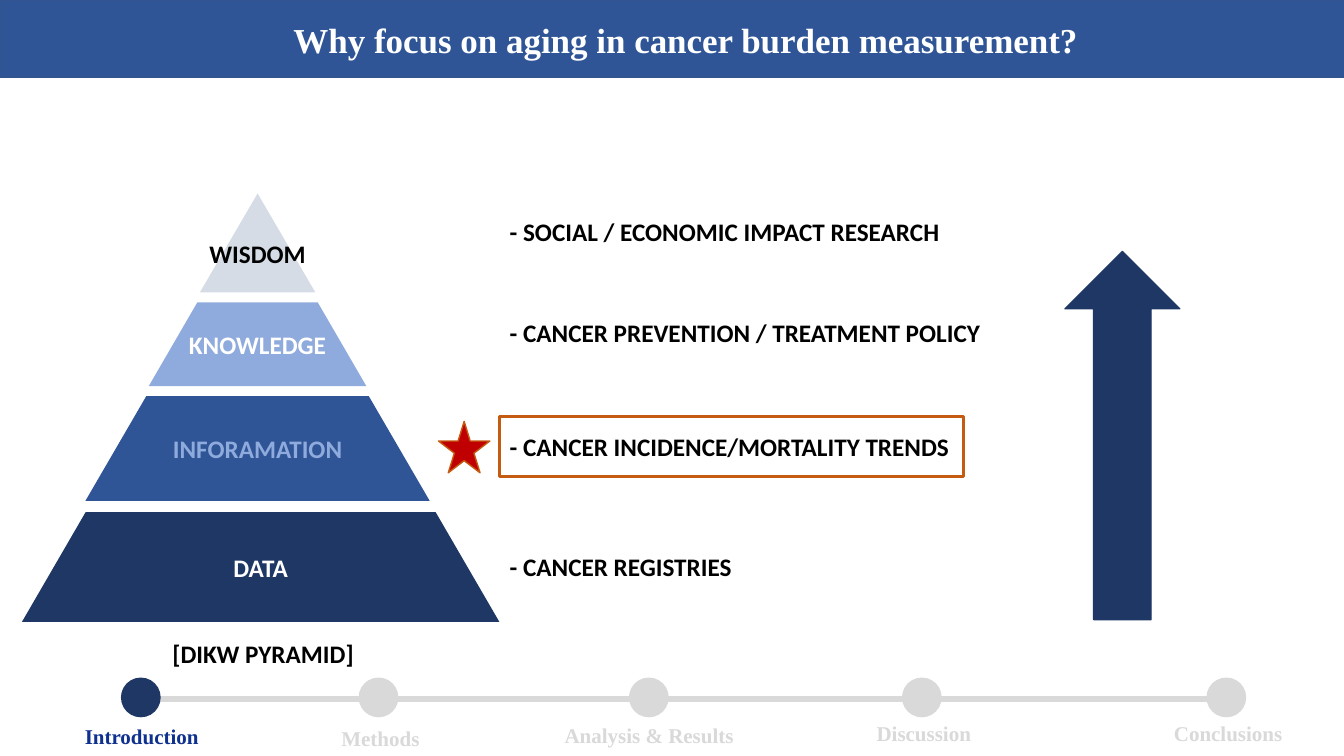
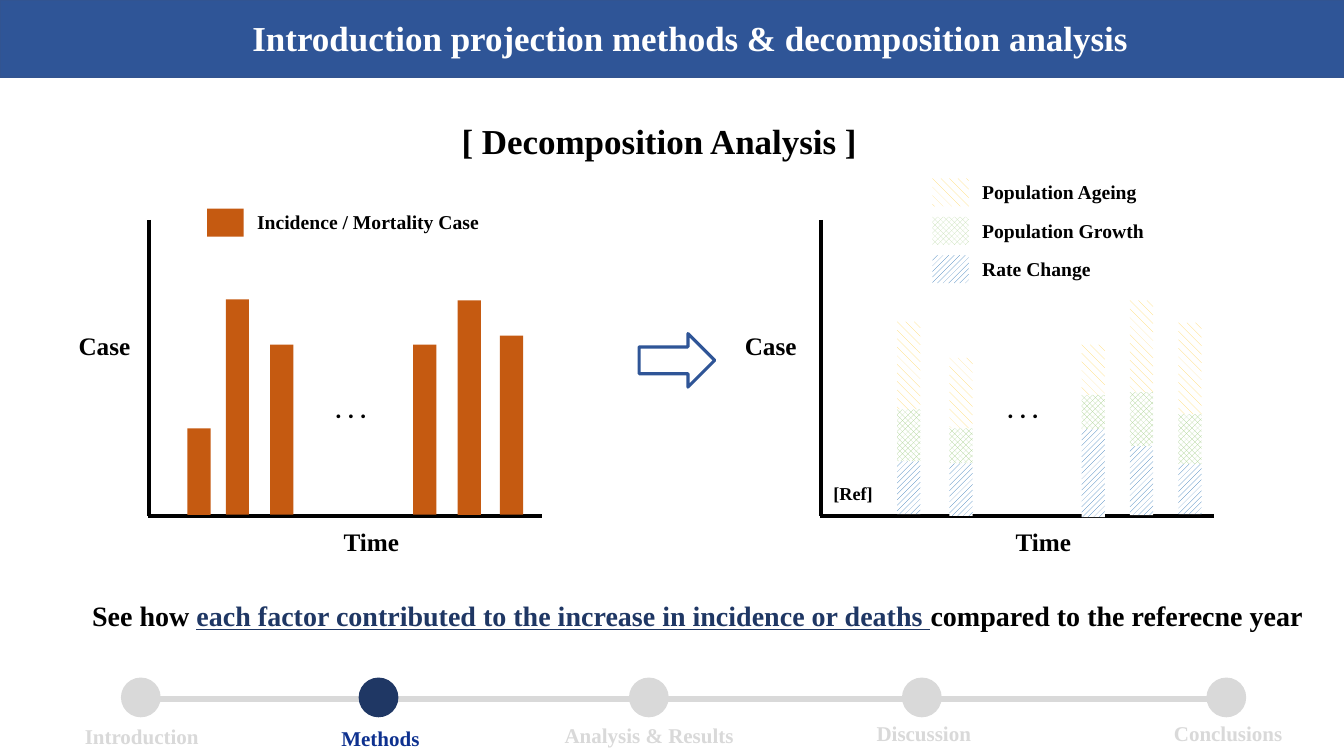
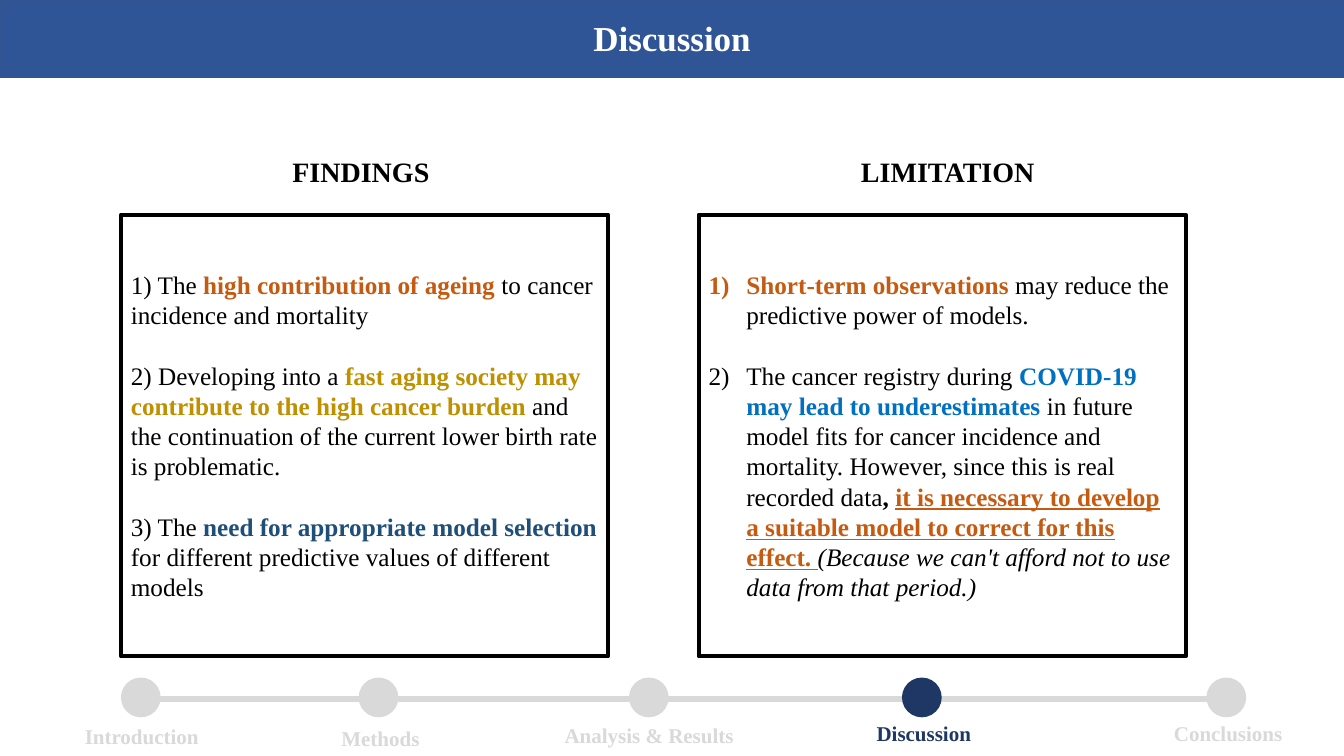
from itertools import pairwise

from lxml.etree import SubElement
from pptx import Presentation
from pptx.dml.color import RGBColor
from pptx.enum.dml import MSO_PATTERN
from pptx.enum.shapes import MSO_CONNECTOR, MSO_SHAPE
from pptx.enum.text import MSO_ANCHOR, PP_ALIGN
from pptx.oxml.ns import qn
from pptx.util import Pt

BLUE = RGBColor(0x2F, 0x55, 0x97)
BAND_EDGE = RGBColor(0x32, 0x54, 0x91)
NAVY = RGBColor(0x1F, 0x37, 0x64)
ACTIVE = RGBColor(0x0E, 0x31, 0x8F)
LIGHT_BLUE = RGBColor(0x8F, 0xAA, 0xDC)
PALE_BLUE = RGBColor(0xD6, 0xDC, 0xE5)
GREY = RGBColor(0xD9, 0xD9, 0xD9)
BLACK = RGBColor(0, 0, 0)
WHITE = RGBColor(0xFF, 0xFF, 0xFF)
ORANGE = RGBColor(0xC5, 0x5A, 0x11)
RED = RGBColor(0xC0, 0, 0)
GOLD = RGBColor(0xBF, 0x90, 0)
DEEP_BLUE = RGBColor(0x1F, 0x4E, 0x79)
BRIGHT_BLUE = RGBColor(0, 0x70, 0xC0)
YELLOW = RGBColor(0xFF, 0xD9, 0x66)
GREEN = RGBColor(0xA9, 0xD1, 0x8E)
PALE_GREEN = RGBColor(0xC5, 0xE0, 0xB4)
STEEL = RGBColor(0x2E, 0x75, 0xB6)

SERIF, SANS = "Times New Roman", "Calibri"

# A fill is a colour, or a pattern with its foreground colour.
AGEING = (MSO_PATTERN.DASHED_DOWNWARD_DIAGONAL, YELLOW)
GROWTH = (MSO_PATTERN.SOLID_DIAMOND, GREEN)
GROWTH_KEY = (MSO_PATTERN.SOLID_DIAMOND, PALE_GREEN)
RATE = (MSO_PATTERN.WIDE_UPWARD_DIAGONAL, STEEL)

# Section, dot centre, label centre, label top
SECTIONS = [
    ("Introduction", 100.6, 101.3, 513.4),
    ("Methods", 270.4, 271.8, 514.8),
    ("Analysis & Results", 463.5, 463.7, 512.4),
    ("Discussion", 658.5, 659.9, 511.2),
    ("Conclusions", 876, 877.3, 511.2),
]


def write(p, text, font=SERIF, size=18, color=BLACK, bold=True, italic=False,
          underline=False):
    r = p.add_run()
    r.text = text
    f = r.font
    f.name, f.size, f.color.rgb = font, Pt(size), color
    f.bold, f.italic, f.underline = bold, italic, underline


class Deck:
    def __init__(self):
        self.prs = Presentation()
        self.prs.slide_width, self.prs.slide_height = Pt(960), Pt(540)
        self.s = None

    def slide(self, title, section, x=480, y=8, label_color=ACTIVE):
        """Start a slide with its title band and progress line."""
        self.s = self.prs.slides.add_slide(self.prs.slide_layouts[6])
        self.shape(0, 0, 960, 55, BLUE, BAND_EDGE)
        self.text(title, x, y, 730, size=25, color=WHITE, centred=True)
        self.line(92, 499.5, 887, 499.5, GREY, 4.5)
        for name, dot_x, label_x, label_y in SECTIONS:
            on = name == section
            self.shape(dot_x - 14.2, 484, 28.4, 28.4, NAVY if on else GREY,
                       kind=MSO_SHAPE.OVAL)
            self.text(name, label_x, label_y, 160, size=15, centred=True,
                      color=label_color if on else GREY)

    def style(self, sp, fill, line, weight):
        sp.shadow.inherit = False
        if fill is None:
            sp.fill.background()
        elif isinstance(fill, RGBColor):
            sp.fill.solid()
            sp.fill.fore_color.rgb = fill
        else:
            sp.fill.patterned()
            sp.fill.pattern, sp.fill.fore_color.rgb = fill
            sp.fill.back_color.rgb = WHITE
        if line is None:
            sp.line.fill.background()
        else:
            sp.line.color.rgb, sp.line.width = line, Pt(weight)

    def shape(self, x, y, w, h, fill=None, line=None, weight=1,
              kind=MSO_SHAPE.RECTANGLE):
        sp = self.s.shapes.add_shape(kind, Pt(x), Pt(y), Pt(w), Pt(h))
        self.style(sp, fill, line, weight)
        return sp

    def line(self, x1, y1, x2, y2, color, weight):
        c = self.s.shapes.add_connector(MSO_CONNECTOR.STRAIGHT,
                                        Pt(x1), Pt(y1), Pt(x2), Pt(y2))
        c.line.color.rgb, c.line.width = color, Pt(weight)
        SubElement(c._element.spPr, qn("a:effectLst"))

    def text(self, runs, x, y, w, size=18, centred=False, **fmt):
        """Write one line; x is its left edge, or its middle if centred."""
        left = x - w / 2 if centred else x
        box = self.s.shapes.add_textbox(Pt(left), Pt(y), Pt(w), Pt(size * 1.2 + 7.2))
        tf = box.text_frame
        tf.word_wrap = True
        p = tf.paragraphs[0]
        p.alignment = PP_ALIGN.CENTER if centred else PP_ALIGN.LEFT
        for text, extra in [(runs, {})] if isinstance(runs, str) else runs:
            write(p, text, size=size, **{**fmt, **extra})

    def tier(self, centre, top, bottom, top_w, bottom_w, fill, text, color):
        """Draw a pyramid tier as a trapezoid."""
        corners = [(Pt(centre + dx / 2), Pt(y)) for dx, y in (
            (-top_w, top), (top_w, top), (bottom_w, bottom), (-bottom_w, bottom))]
        fb = self.s.shapes.build_freeform(*corners[0])
        fb.add_line_segments(corners[1:], close=True)
        sp = fb.convert_to_shape()
        self.style(sp, fill, None, 0)
        if text:
            tf = sp.text_frame
            tf.vertical_anchor = MSO_ANCHOR.MIDDLE
            p = tf.paragraphs[0]
            p.alignment = PP_ALIGN.CENTER
            write(p, text, font=SANS, color=color)

    def axes(self, dx, case_x):
        """Draw the axes of a sketched chart, moved right by dx."""
        self.line(106.6 + dx, 157, 106.6 + dx, 368.6, BLACK, 3)
        self.line(106 + dx, 368.6, 387.2 + dx, 368.6, BLACK, 3)
        self.text("Time", 238.3 + dx, 372.2, 65)
        self.text("Case", case_x, 232.5, 65)
        self.text(". . . ", 252.7 + dx, 277.2, 60, font=SANS, centred=True)

    def bar(self, x, top, bottom, fill):
        self.shape(x, top, 16.6, bottom - top, fill)

    def key(self, x, y, text, fill):
        self.shape(x, y, 26, 20, fill)
        self.text(text, x + 28.5, y - 2.3, 190, size=14)

    def panel(self, heading, heading_x, x, paragraphs, numbered=False):
        """Draw a framed list under a heading."""
        self.text(heading, heading_x, 106.5, 200, size=20, centred=True)
        sp = self.shape(x, 153.4, 348, 315.4, line=BLACK, weight=3)
        tf = sp.text_frame
        tf.word_wrap = True
        tf.vertical_anchor = MSO_ANCHOR.MIDDLE
        for i, runs in enumerate(paragraphs):
            p = tf.add_paragraph() if i else tf.paragraphs[0]
            p.alignment = PP_ALIGN.LEFT
            p.line_spacing = Pt(21.6)
            if i:
                p.space_before = Pt(21.6)
            if numbered:
                pPr = p._p.get_or_add_pPr()
                pPr.set("marL", str(Pt(27)))
                pPr.set("indent", str(-Pt(27)))
                SubElement(pPr, qn("a:buFont"), typeface="+mj-lt")
                SubElement(pPr, qn("a:buAutoNum"), type="arabicParenR")
            for text, fmt in runs:
                write(p, text, **{"bold": False, **fmt})


def pyramid_slide(d):
    d.slide("Why focus on aging in cancer burden measurement?", "Introduction",
            x=489.6, y=9.4)
    for tier in [
        (184, 138.2, 208.8, 0, 82.4, PALE_BLUE, "", BLACK),
        (184, 216, 275.8, 86, 155.4, LIGHT_BLUE, "KNOWLEDGE", WHITE),
        (184, 283, 357.8, 159, 246, BLUE, "INFORAMATION", LIGHT_BLUE),
        (186.2, 365.8, 444.2, 250, 341, NAVY, "DATA", WHITE),
    ]:
        d.tier(*tier)
    d.text("WISDOM", 184, 167, 100, font=SANS, centred=True)
    d.text("[DIKW PYRAMID]", 188, 452.5, 180, font=SANS, centred=True)
    for y, text in [
        (151, "- SOCIAL / ECONOMIC IMPACT RESEARCH"),
        (223.2, "- CANCER PREVENTION / TREATMENT POLICY"),
        (304.6, "- CANCER INCIDENCE/MORTALITY TRENDS"),
        (390.4, "- CANCER REGISTRIES"),
    ]:
        d.text(text, 357, y, 380, font=SANS)
    d.shape(760.7, 179.6, 82, 263, NAVY, NAVY, kind=MSO_SHAPE.UP_ARROW)
    d.shape(357, 297.4, 331.4, 43.2, line=ORANGE, weight=2.25)
    d.shape(313.2, 301, 36.7, 36.7, RED, ORANGE, kind=MSO_SHAPE.STAR_5_POINT)


def decomposition_slide(d):
    d.slide("Introduction projection methods & decomposition analysis ", "Methods",
            x=496)
    d.text("[ Decomposition Analysis ]", 322.6, 82, 320, size=25)

    d.axes(0, 49)
    for x, top in [(133.9, 306), (161.3, 213.8), (193, 246.2),
                   (295.2, 246.2), (326.9, 214.6), (357.1, 239.8)]:
        d.bar(x, top, 367.7, ORANGE)
    d.key(148, 149, "Incidence / Mortality Case", ORANGE)

    d.shape(456.5, 238.3, 54, 38.2, line=BLUE, weight=2.25,
            kind=MSO_SHAPE.RIGHT_ARROW)

    d.axes(480, 524.9)
    d.text("[Ref]", 588.2, 341.3, 60, size=13)
    for x, *edges in [
        (640.8, 229.7, 292.5, 329.5, 367.2),
        (678.2, 255.6, 306, 331, 368.6),
        (772.6, 246.2, 282.2, 306.7, 369.4),
        (807.1, 214.6, 280.1, 318.6, 367.9),
        (841.7, 230.4, 295.9, 331.6, 367.2),
    ]:
        for (top, bottom), fill in zip(pairwise(edges), (AGEING, GROWTH, RATE)):
            d.bar(x, top, bottom, fill)
    for i, (text, fill) in enumerate([("Population Ageing", AGEING),
                                      ("Population Growth", GROWTH_KEY),
                                      ("Rate Change", RATE)]):
        d.key(666, 127.5 + 27.4 * i, text, fill)

    d.text([("See how ", {}),
            ("each factor contributed to the increase in incidence or deaths ",
             {"color": NAVY, "underline": True}),
            ("compared to the referecne year", {})],
           498.2, 424, 890, size=20, centred=True)


def discussion_slide(d):
    def strong(color, **fmt):
        return {"color": color, "bold": True, **fmt}

    d.slide("Discussion", "Discussion", label_color=NAVY)
    d.panel("FINDINGS", 257.8, 86.4, [
        [("1) The ", {}),
         ("high contribution of ageing", strong(ORANGE)),
         (" to cancer incidence and mortality", {})],
        [("2) Developing into a ", {}),
         ("fast aging society may contribute to the high cancer burden ",
          strong(GOLD)),
         ("and the continuation of the current lower birth rate is problematic.",
          {})],
        [("3) The ", {}),
         ("need for appropriate model selection ", strong(DEEP_BLUE)),
         ("for different predictive values of different models", {})],
    ])
    d.panel("LIMITATION", 677, 499, [
        [("Short-term observations ", strong(ORANGE)),
         ("may reduce the predictive power of models.", {})],
        [("The cancer registry during ", {}),
         ("COVID-19 may lead to underestimates", strong(BRIGHT_BLUE)),
         (" in future model fits for cancer incidence and mortality. "
          "However, since this is real recorded data", {}),
         (", ", strong(BLACK)),
         ("it is necessary to develop a suitable model to correct for this effect. ",
          strong(ORANGE, underline=True)),
         ("(Because we can't afford not to use data from that period.)",
          {"italic": True})],
    ], numbered=True)


def main():
    d = Deck()
    pyramid_slide(d)
    decomposition_slide(d)
    discussion_slide(d)
    d.prs.save("out.pptx")


if __name__ == "__main__":
    main()
